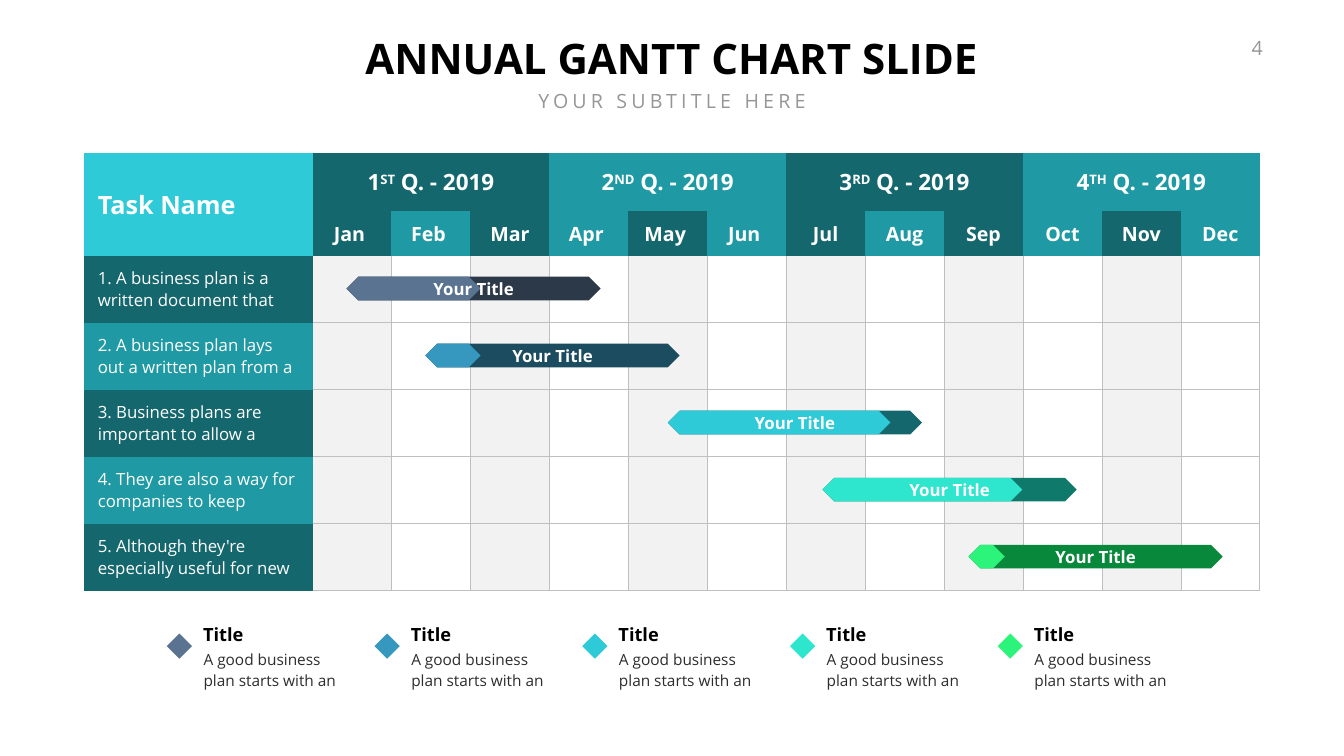
from lxml.etree import SubElement
from pptx import Presentation
from pptx.dml.color import RGBColor
from pptx.enum.shapes import MSO_SHAPE as Shape
from pptx.enum.text import MSO_ANCHOR as Anchor, MSO_AUTO_SIZE as AutoSize, PP_ALIGN as Align
from pptx.oxml.ns import qn
from pptx.util import Inches, Pt

FONT = "Open Sans"
NO_STYLE = "{2D5ABB26-0587-4C30-8999-92F81FD0307C}"

BLACK = RGBColor(0x00, 0x00, 0x00)
WHITE = RGBColor(0xFF, 0xFF, 0xFF)
GRAY = RGBColor(0x96, 0x96, 0x96)
INK = RGBColor(0x2D, 0x2D, 0x2D)
STRIPE = RGBColor(0xF2, 0xF2, 0xF2)
RULE = RGBColor(0xBF, 0xBF, 0xBF)
CYAN = RGBColor(0x2E, 0xCA, 0xD7)
DARK_TEAL = RGBColor(0x15, 0x67, 0x6E)
TEAL = RGBColor(0x1F, 0x9A, 0xA4)
SLATE = RGBColor(0x59, 0x73, 0x90)
NAVY = RGBColor(0x2C, 0x39, 0x48)
BLUE = RGBColor(0x36, 0x98, 0xBF)
DEEP_BLUE = RGBColor(0x1B, 0x4C, 0x60)
MINT = RGBColor(0x2E, 0xE5, 0xCD)
DEEP_MINT = RGBColor(0x0F, 0x7A, 0x6C)
LIME = RGBColor(0x2C, 0xF3, 0x7A)
GREEN = RGBColor(0x08, 0x88, 0x3A)
HEADER_FILLS = (DARK_TEAL, TEAL)
GRID_FILLS = (STRIPE, WHITE)

# Chart grid, in inches
LEFT, TOP = 1.66, 3.04
TASK_WIDTH, MONTH_WIDTH = 4.54, 18.79 / 12
QUARTER_HEIGHT, MONTH_HEIGHT, TASK_HEIGHT = 1.15, 0.88, 1.33
GRID_LEFT = LEFT + TASK_WIDTH
GRID_TOP = TOP + QUARTER_HEIGHT + MONTH_HEIGHT

# Bars, lengths in months
BAR_MONTHS, BAR_OFFSET, BAR_HEIGHT = 3.22, 0.42, 0.47

ORDINALS = ["ST", "ND", "RD", "TH"]
MONTHS = ["Jan ", "Feb ", "Mar", "Apr ", "May ", "Jun ",
          "Jul", "Aug", "Sep", "Oct", "Nov", "Dec"]
# Task name, start month, months done, colour done, colour left
TASKS = [
    ("1. A business plan is a written document that", 0.43, 1.7, SLATE, NAVY),
    ("2. A business plan lays out a written plan from a", 1.43, 0.7, BLUE, DEEP_BLUE),
    ("3. Business plans are important to allow a", 4.5, 2.82, CYAN, DARK_TEAL),
    ("4. They are also a way for companies to keep", 6.46, 2.53, MINT, DEEP_MINT),
    ("5. Although they're especially useful for new", 8.31, 0.46, LIME, GREEN),
]


def add_span(para, text, size, color, bold=False, spacing=0, baseline=0):
    span = para.add_run()
    span.text = text
    font = span.font
    font.name, font.size, font.bold = FONT, Pt(size), bold
    font.color.rgb = color
    props = font._element
    if spacing:
        props.set("spc", str(spacing * 100))
    if baseline:
        props.set("baseline", str(baseline * 1000))


def write(frame, text, align=Align.LEFT, leading=None, **style):
    para = frame.paragraphs[0]
    para.alignment = align
    para.space_before = Pt(0)
    if leading:
        para.line_spacing = Pt(leading)
    add_span(para, text, **style)


def set_text(box, text, anchor=Anchor.TOP, wrap=False, inset=0.02, **style):
    frame = box.text_frame
    frame.word_wrap, frame.auto_size = wrap, AutoSize.NONE
    frame.vertical_anchor = anchor
    frame.margin_top = frame.margin_bottom = Inches(inset)
    write(frame, text, **style)


def place(box, *bounds):
    box.left, box.top, box.width, box.height = map(Inches, bounds)
    return box


def add_text(page, bounds, text, **style):
    set_text(page.shapes.add_textbox(*map(Inches, bounds)), text, **style)


def add_shape(page, kind, bounds, color):
    shape = page.shapes.add_shape(kind, *map(Inches, bounds))
    shape.shadow.inherit = False
    shape.fill.solid()
    shape.fill.fore_color.rgb = color
    shape.line.fill.background()
    return shape


def set_border(cell, edges):
    props = cell._tc.get_or_add_tcPr()
    for edge in edges:
        line = SubElement(props, qn(f"a:ln{edge}"), w=str(Pt(1)))
        fill = SubElement(line, qn("a:solidFill"))
        SubElement(fill, qn("a:srgbClr"), val=str(RULE))


def fill_cell(cell, color):
    cell.fill.solid()
    cell.fill.fore_color.rgb = color
    cell.vertical_anchor = Anchor.MIDDLE
    cell.margin_left = cell.margin_right = Inches(0.28)
    cell.margin_top = cell.margin_bottom = Inches(0.1)


def add_headings(page):
    title = place(page.shapes.title, 7.09, 0.64, 12.47, 1.11)
    set_text(title, "ANNUAL GANTT CHART SLIDE", align=Align.CENTER,
             size=60, color=BLACK, bold=True, inset=0)
    subtitle = place(page.placeholders[1], 10.51, 1.75, 5.64, 0.57)
    set_text(subtitle, "YOUR SUBTITLE HERE", align=Align.CENTER,
             size=28, color=GRAY, spacing=6)
    add_text(page, (24.33, 0.7, 0.82, 0.57), "4", align=Align.RIGHT,
             size=28, color=GRAY, spacing=3)


def add_calendar(page):
    widths = [TASK_WIDTH] + [MONTH_WIDTH] * len(MONTHS)
    heights = [QUARTER_HEIGHT, MONTH_HEIGHT] + [TASK_HEIGHT] * len(TASKS)
    bounds = (LEFT, TOP, sum(widths), sum(heights))
    frame = page.shapes.add_table(len(heights), len(widths), *map(Inches, bounds))
    table = frame.table
    table.first_row = table.horz_banding = False
    table._tbl.tblPr.find(qn("a:tableStyleId")).text = NO_STYLE
    for column, width in zip(table.columns, widths):
        column.width = Inches(width)
    for row, height in zip(table.rows, heights):
        row.height = Inches(height)

    # Corner and quarters
    corner = table.cell(0, 0)
    corner.merge(table.cell(1, 0))
    fill_cell(corner, CYAN)
    write(corner.text_frame, "Task Name", size=36, color=WHITE, bold=True)
    for index, ordinal in enumerate(ORDINALS):
        quarter = table.cell(0, 1 + 3 * index)
        quarter.merge(table.cell(0, 3 + 3 * index))
        fill_cell(quarter, HEADER_FILLS[index % 2])
        style = dict(size=32, color=WHITE, bold=True)
        write(quarter.text_frame, str(index + 1), align=Align.CENTER, **style)
        para = quarter.text_frame.paragraphs[0]
        add_span(para, ordinal, baseline=30, **style)
        add_span(para, " Q. - 2019", **style)

    # Months and the empty grid below them
    for index, name in enumerate(MONTHS):
        month = table.cell(1, index + 1)
        fill_cell(month, HEADER_FILLS[index % 2])
        write(month.text_frame, name, align=Align.CENTER, size=28, color=WHITE, bold=True)
        for row in range(len(TASKS)):
            cell = table.cell(row + 2, index + 1)
            set_border(cell, ("L" if index else "") + "R" + ("T" if row else "") + "B")
            fill_cell(cell, GRID_FILLS[index % 2])

    # Task names
    for row, (name, *_) in enumerate(TASKS):
        cell = table.cell(row + 2, 0)
        fill_cell(cell, HEADER_FILLS[row % 2])
        write(cell.text_frame, name, leading=32, size=24, color=WHITE)


def add_bar(page, row, start, done, done_color, left_color):
    left = GRID_LEFT + start * MONTH_WIDTH
    top = GRID_TOP + row * TASK_HEIGHT + BAR_OFFSET
    for months, color in ((BAR_MONTHS, left_color), (done, done_color)):
        bounds = (left, top, months * MONTH_WIDTH, BAR_HEIGHT)
        bar = add_shape(page, Shape.SNIP_2_DIAG_RECTANGLE, bounds, color)
        bar.adjustments[0] = bar.adjustments[1] = 0.5
    add_text(page, (left, top, BAR_MONTHS * MONTH_WIDTH, BAR_HEIGHT), "Your Title",
             anchor=Anchor.MIDDLE, align=Align.CENTER, size=24, color=WHITE, bold=True)


def add_legend_item(page, index, color):
    left = 3.31 + 4.12 * index
    add_shape(page, Shape.DIAMOND, (left, 12.57, 0.5, 0.5), color)
    add_text(page, (left + 0.62, 12.31, 1.01, 0.54), "Title",
             anchor=Anchor.MIDDLE, size=26, color=BLACK, bold=True)
    add_text(page, (left + 0.63, 12.79, 2.94, 0.91), "A good business plan starts with an",
             wrap=True, inset=0.05, leading=30, size=22, color=INK)


def main():
    deck = Presentation()
    deck.slide_width, deck.slide_height = Inches(26.66), Inches(15)
    page = deck.slides.add_slide(deck.slide_layouts[0])
    add_headings(page)
    add_calendar(page)
    for index, (_, start, done, done_color, left_color) in enumerate(TASKS):
        add_bar(page, index, start, done, done_color, left_color)
        add_legend_item(page, index, done_color)
    deck.save("out.pptx")


if __name__ == "__main__":
    main()
